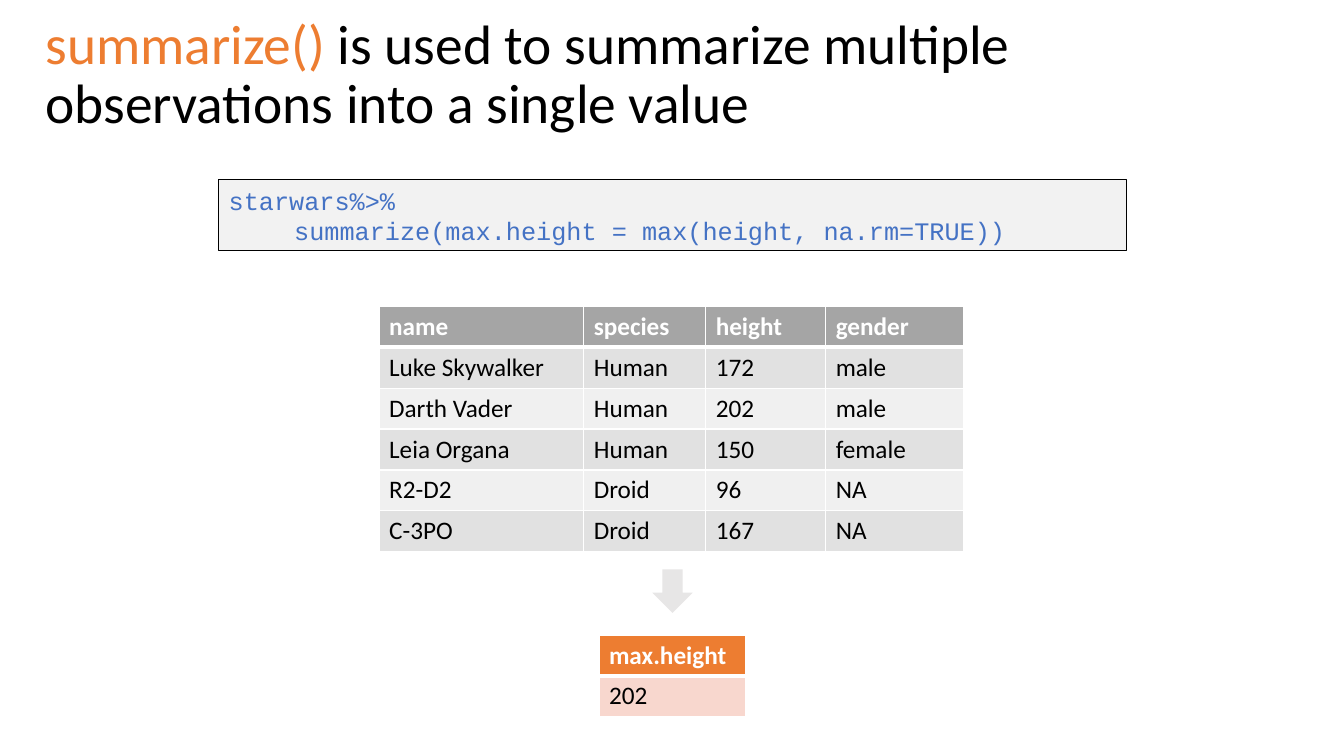
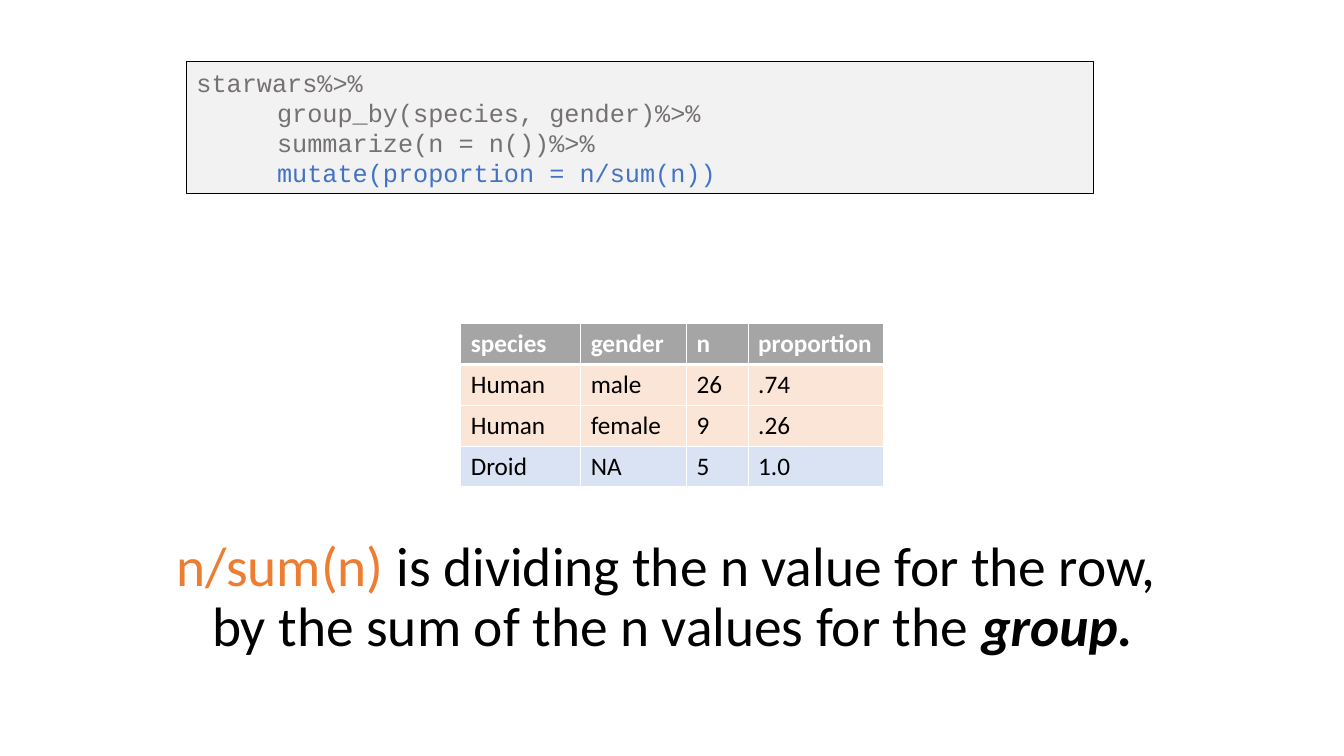
from lxml import etree
from pptx import Presentation
from pptx.dml.color import RGBColor
from pptx.enum.shapes import MSO_SHAPE
from pptx.enum.text import MSO_ANCHOR, MSO_AUTO_SIZE, PP_ALIGN
from pptx.oxml.ns import qn
from pptx.util import Inches, Pt

LEFT, CENTER = PP_ALIGN.LEFT, PP_ALIGN.CENTER
MIDDLE = MSO_ANCHOR.MIDDLE
NO_FIT = MSO_AUTO_SIZE.NONE
RECTANGLE, DOWN_ARROW = MSO_SHAPE.RECTANGLE, MSO_SHAPE.DOWN_ARROW
TITLE_ONLY = 5

# Shared style
BODY_FONT, CODE_FONT = "Calibri", "Courier New"
BLACK, WHITE = "000000", "FFFFFF"
ORANGE, BLUE, CODE_GREY = "ED7D31", "4472C4", "767171"
CODE_FILL, ARROW_FILL, HEADER_GREY = "F2F2F2", "E7E6E6", "A5A5A5"
BAND_DARK, BAND_LIGHT = "E1E1E1", "F0F0F0"
HUMAN_FILL, DROID_FILL, RESULT_FILL = "FBE5D6", "DAE3F3", "F8D7CE"
TITLE_SIZE, TEXT_SIZE = 39.6, 18
ROW_HEIGHT = 0.4


def rgb(value):
    return RGBColor.from_string(value)


def add_text(paragraph, text, color=BLACK, size=TEXT_SIZE, font=BODY_FONT,
             bold=False, italic=False):
    """Append text to a paragraph; a newline becomes a line break."""
    for index, line in enumerate(text.split("\n")):
        if index:
            paragraph.add_line_break()
        run = paragraph.add_run()
        run.text = line
        run.font.name, run.font.size = font, Pt(size)
        run.font.bold, run.font.italic = bold, italic
        run.font.color.rgb = rgb(color)


def add_block(slide, kind, box, fill, line=None):
    block = slide.shapes.add_shape(kind, *map(Inches, box))
    block.shadow.inherit = False
    block.fill.solid()
    block.fill.fore_color.rgb = rgb(fill)
    if line:
        block.line.color.rgb = rgb(line)
        block.line.width = Pt(0.75)
    else:
        block.line.fill.background()
    return block


def place_title(slide, box, parts, align=LEFT):
    """Fill the title from (text, format) pairs."""
    title = slide.shapes.title
    title.left, title.top, title.width, title.height = map(Inches, box)
    frame = title.text_frame
    frame.word_wrap, frame.auto_size = True, NO_FIT
    frame.vertical_anchor = MIDDLE
    paragraph = frame.paragraphs[0]
    paragraph.alignment, paragraph.line_spacing = align, 0.9
    for text, style in parts:
        add_text(paragraph, text, size=TITLE_SIZE, **style)


def place_code(slide, box, lines):
    """Draw a code panel from (text, color) lines."""
    frame = add_block(slide, RECTANGLE, box, CODE_FILL, BLACK).text_frame
    frame.word_wrap, frame.vertical_anchor = True, MIDDLE
    for index, (text, color) in enumerate(lines):
        paragraph = frame.add_paragraph() if index else frame.paragraphs[0]
        paragraph.alignment = LEFT
        add_text(paragraph, text, color=color, font=CODE_FONT)


def set_border(cell, side, points):
    edge = etree.SubElement(cell._tc.get_or_add_tcPr(), qn("a:ln" + side),
                            w=str(Pt(points)))
    fill = etree.SubElement(edge, qn("a:solidFill"))
    etree.SubElement(fill, qn("a:srgbClr"), val=WHITE)


def place_table(slide, left, top, widths, rows, header_fill, row_fills):
    """Draw a data table whose first row is the header."""
    table = slide.shapes.add_table(
        len(rows), len(widths), Inches(left), Inches(top),
        Inches(sum(widths)), Inches(ROW_HEIGHT * len(rows))).table
    table.horz_banding = False
    for column, width in zip(table.columns, widths):
        column.width = Inches(width)
    for r, (values, fill) in enumerate(zip(rows, [header_fill, *row_fills])):
        table.rows[r].height = Inches(ROW_HEIGHT)
        header = r == 0
        for c, value in enumerate(values):
            cell = table.cell(r, c)
            # The rule below the header is heavier
            for side in "LRTB":
                heavy = (header and side == "B") or (r == 1 and side == "T")
                set_border(cell, side, 3 if heavy else 1)
            cell.fill.solid()
            cell.fill.fore_color.rgb = rgb(fill)
            add_text(cell.text_frame.paragraphs[0], value, bold=header,
                     color=WHITE if header else BLACK)


def build_summarize(slide):
    place_title(slide, (0.35, 0.4, 11.42, 0.71), [
        ("summarize() ", {"color": ORANGE}),
        ("is used to summarize multiple observations into a single value", {}),
    ])
    place_code(slide, (2.17, 1.78, 9, 0.71), [
        ("starwars%>%", BLUE),
        ("\t summarize(max.height = max(height, na.rm=TRUE))", BLUE),
    ])
    place_table(slide, 3.76, 3.04, [2.03, 1.21, 1.19, 1.37], [
        ("name", "species", "height", "gender"),
        ("Luke Skywalker", "Human", "172", "male"),
        ("Darth Vader", "Human", "202", "male"),
        ("Leia Organa", "Human", "150", "female"),
        ("R2-D2", "Droid", "96", "NA"),
        ("C-3PO", "Droid", "167", "NA"),
    ], HEADER_GREY, [BAND_DARK, BAND_LIGHT] * 2 + [BAND_DARK])
    # Result of the summary
    add_block(slide, DOWN_ARROW, (6.47, 5.65, 0.4, 0.43), ARROW_FILL)
    place_table(slide, 5.94, 6.3, [1.45], [("max.height",), ("202",)],
                ORANGE, [RESULT_FILL])


def build_proportion(slide):
    place_code(slide, (1.85, 0.61, 9, 1.31), [
        ("starwars%>%", CODE_GREY),
        ("\t  group_by(species, gender)%>%", CODE_GREY),
        ("\t  summarize(n = n())%>%", CODE_GREY),
        ("\t  mutate(proportion = n/sum(n))", BLUE),
    ])
    place_table(slide, 4.57, 3.21, [1.19, 1.05, 0.61, 1.34], [
        ("species", "gender", "n", "proportion"),
        ("Human", "male", "26", ".74"),
        ("Human", "female", "9", ".26"),
        ("Droid", "NA", "5", "1.0"),
    ], HEADER_GREY, [HUMAN_FILL, HUMAN_FILL, DROID_FILL])
    place_title(slide, (0.96, 5.58, 11.42, 0.71), [
        ("n/sum(n) ", {"color": ORANGE}),
        ("is dividing the n value for the row, \n"
         "by the sum of the n values for the ", {}),
        ("group.", {"bold": True, "italic": True}),
    ], align=CENTER)


def main():
    deck = Presentation()
    deck.slide_width, deck.slide_height = Inches(13.33), Inches(7.5)
    for build in (build_summarize, build_proportion):
        build(deck.slides.add_slide(deck.slide_layouts[TITLE_ONLY]))
    deck.save("out.pptx")


if __name__ == "__main__":
    main()
